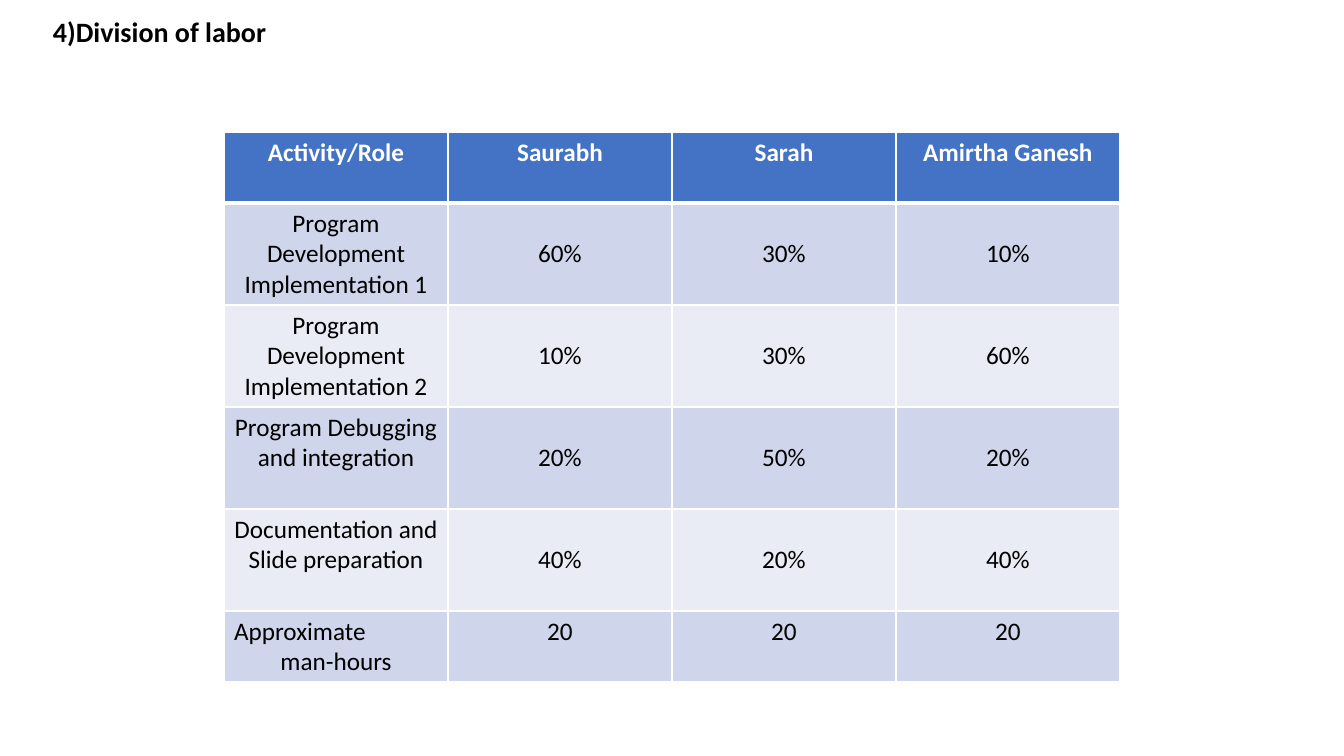
from lxml import etree
from pptx import Presentation
from pptx.dml.color import RGBColor
from pptx.enum.text import MSO_ANCHOR, PP_ALIGN
from pptx.oxml.ns import qn
from pptx.util import Pt

PX = 9071
LEFT, CENTER = PP_ALIGN.LEFT, PP_ALIGN.CENTER
TOP, MIDDLE = MSO_ANCHOR.TOP, MSO_ANCHOR.MIDDLE
FONT = "Calibri"
COLORS = {
    "text": "000000",
    "white": "FFFFFF",
    "head": "4472C4",
    "odd": "CFD5EA",
    "even": "E9EBF5",
}
ROWS = [
    ["Activity/Role", "Saurabh", "Sarah", "Amirtha Ganesh"],
    ["Program Development Implementation 1", "60%", "30%", "10%"],
    ["Program Development Implementation 2", "10%", "30%", "60%"],
    ["Program Debugging\nand integration", "20%", "50%", "20%"],
    ["Documentation and Slide preparation", "40%", "20%", "40%"],
    ["Approximate\nman-hours", "20", "20", "20"],
]
HEIGHTS = [71, 102, 102, 102, 102, 71]


def scale(box):
    return [n * PX for n in box]


def write(frame, text, size, color, bold, align):
    frame.text = text
    for para in frame.paragraphs:
        para.alignment = align
        for run in para.runs:
            font = run.font
            font.name = FONT
            font.size = Pt(size)
            font.bold = bold
            font.color.rgb = RGBColor.from_string(COLORS[color])


def border(cell, under):
    props = cell._tc.get_or_add_tcPr()
    widths = {"a:lnL": 1, "a:lnR": 1, "a:lnT": 1, "a:lnB": under}
    for spot, (tag, width) in enumerate(widths.items()):
        line = etree.Element(qn(tag), w=str(Pt(width)))
        fill = etree.SubElement(line, qn("a:solidFill"))
        etree.SubElement(fill, qn("a:srgbClr"), val=COLORS["white"])
        props.insert(spot, line)


def add_title(slide, box):
    frame = slide.shapes.add_textbox(*scale(box)).text_frame
    frame.word_wrap = True
    write(frame, "4)Division of labor", 20, "text", True, LEFT)
    para = frame.paragraphs[0]
    para.line_spacing = 0.9
    para.space_before = Pt(10)


def add_grid(slide, box):
    grid = slide.shapes.add_table(len(ROWS), len(ROWS[0]), *scale(box)).table
    for col in grid.columns:
        col.width = box[2] * PX // len(ROWS[0])
    for r, (row, height) in enumerate(zip(ROWS, HEIGHTS)):
        grid.rows[r].height = height * PX
        head = r == 0
        shade = "head" if head else "odd" if r % 2 else "even"
        for c, text in enumerate(row):
            cell = grid.cell(r, c)
            cell.fill.solid()
            cell.fill.fore_color.rgb = RGBColor.from_string(COLORS[shade])
            cell.vertical_anchor = MIDDLE if text.endswith("%") else TOP
            write(cell.text_frame, text, 18, "white" if head else "text", head, CENTER)
            border(cell, 3 if head else 1)
    last = grid.cell(len(ROWS) - 1, 0)
    last.text_frame.paragraphs[0].alignment = LEFT


def main():
    deck = Presentation()
    deck.slide_width, deck.slide_height = scale([1344, 756])
    slide = deck.slides.add_slide(deck.slide_layouts[6])
    add_title(slide, [43, 13, 1258, 743])
    add_grid(slide, [224, 132, 896, sum(HEIGHTS)])
    deck.save("out.pptx")


if __name__ == "__main__":
    main()
